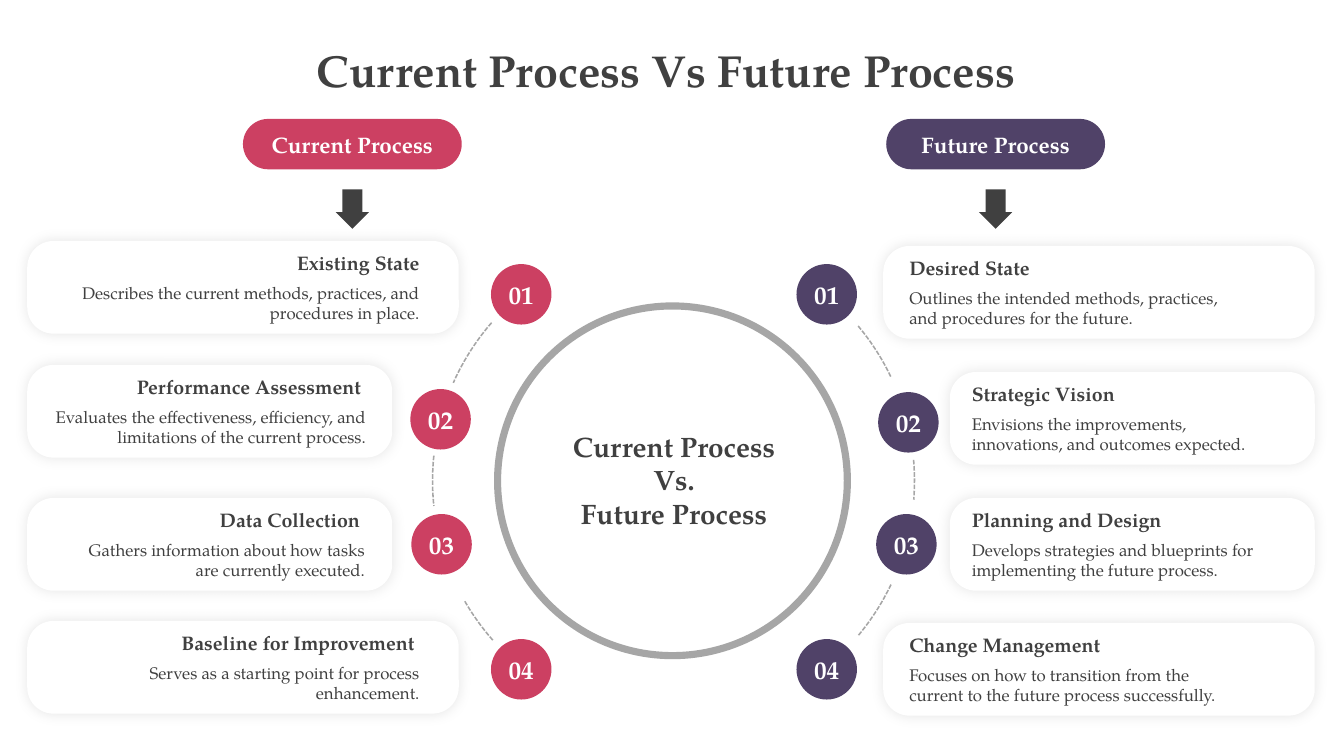
from dataclasses import dataclass
from math import cos, radians, sin

from lxml.etree import SubElement
from pptx import Presentation
from pptx.dml.color import RGBColor as RGB
from pptx.enum.dml import MSO_LINE_DASH_STYLE as Dash
from pptx.enum.shapes import MSO_SHAPE as Kind
from pptx.enum.text import MSO_ANCHOR as Anchor, MSO_AUTO_SIZE as Fit, PP_ALIGN as Align
from pptx.oxml.ns import qn
from pptx.util import Inches, Pt


@dataclass(frozen=True)
class Theme:
    """Colours, font and type sizes of the slide."""
    font: str = "TeX Gyre Pagella"
    ink: str = "404040"
    grey: str = "A6A6A6"
    white: str = "FFFFFF"
    red: str = "CC4062"
    plum: str = "504268"
    title: int = 32
    hub: int = 20
    dot: int = 18
    pill: int = 16
    head: int = 14
    body: int = 12


class Board:
    """Draws each kind of element on one slide."""

    def __init__(self, slide, theme):
        self.shapes = slide.shapes
        self.theme = theme

    def shape(self, kind, x, y, w, h, fill, adjust=()):
        item = self.shapes.add_shape(kind, Inches(x), Inches(y), Inches(w), Inches(h))
        item.shadow.inherit = False
        item.fill.solid()
        item.fill.fore_color.rgb = RGB.from_string(fill)
        item.line.fill.background()
        for i, value in enumerate(adjust):
            item.adjustments[i] = value
        return item

    def label(self, frame, lines, color, align):
        frame.word_wrap = True
        frame.text = "\n".join(text for text, size, bold in lines)
        for par, (text, size, bold) in zip(frame.paragraphs, lines):
            par.alignment = align
            for run in par.runs:
                run.font.name = self.theme.font
                run.font.size = Pt(size)
                run.font.bold = bold
                run.font.color.rgb = RGB.from_string(color)

    def text(self, x, y, w, h, lines, align=Align.CENTER):
        box = self.shapes.add_textbox(Inches(x), Inches(y), Inches(w), Inches(h))
        self.label(box.text_frame, lines, self.theme.ink, align)
        box.text_frame.auto_size = Fit.SHAPE_TO_FIT_TEXT
        return box.text_frame

    def badge(self, kind, x, y, w, h, fill, name, size, adjust=()):
        frame = self.shape(kind, x, y, w, h, fill, adjust).text_frame
        self.label(frame, [(name, size, True)], self.theme.white, Align.CENTER)
        frame.vertical_anchor = Anchor.MIDDLE
        frame.margin_left = frame.margin_right = 0
        frame.margin_top = frame.margin_bottom = 0

    def card(self, x, y, w):
        item = self.shape(Kind.ROUNDED_RECTANGLE, x, y, w, 0.92, self.theme.white, [0.283])
        glow = SubElement(item.element.spPr.find(qn("a:effectLst")), qn("a:outerShdw"),
                          blurRad=str(Pt(10)), dist="0", algn="ctr", rotWithShape="0")
        tint = SubElement(glow, qn("a:srgbClr"), val="000000")
        SubElement(tint, qn("a:alpha"), val="10000")

    def note(self, x, y, w, head, body, align):
        theme = self.theme
        lines = [(head, theme.head, True), (body, theme.body, False)]
        frame = self.text(x, y, w, 0.82, lines, align)
        frame.paragraphs[0].space_after = Pt(6)

    def arc(self, start, end):
        steps = 12
        turns = [radians(start + (end - start) * i / steps) for i in range(steps + 1)]
        points = [(Inches(6.68 + 2.39 * cos(t)), Inches(4.77 + 2.39 * sin(t))) for t in turns]
        trace = self.shapes.build_freeform(*points[0])
        trace.add_line_segments(points[1:], close=False)
        curve = trace.convert_to_shape()
        curve.shadow.inherit = False
        curve.fill.background()
        curve.line.color.rgb = RGB.from_string(self.theme.grey)
        curve.line.width = Pt(1.11)
        curve.line.dash_style = Dash.SQUARE_DOT

    def side(self, name, color, left, align, dots, arcs, cards):
        theme = self.theme
        self.badge(Kind.ROUNDED_RECTANGLE, left, 1.18, 2.17, 0.5, color, name, theme.pill, [0.5])
        self.shape(Kind.DOWN_ARROW, left + 0.92, 1.88, 0.33, 0.39, theme.ink, [0.6, 0.5])
        for start, end in arcs:
            self.arc(start, end)
        for i, (x, y) in enumerate(dots, 1):
            self.badge(Kind.OVAL, x, y, 0.6, 0.6, color, f"{i:02}", theme.dot)
        for x, y, w, inset, span, head, body in cards:
            self.card(x, y, w)
            self.note(x + inset, y + 0.05, span, head, body, align)


CURRENT = [
    (0.27, 2.39, 4.28, 0.35, 3.64, "Existing State",
     "Describes the current methods, practices, and procedures in place."),
    (0.27, 3.62, 3.62, 0.18, 3.28, "Performance Assessment ",
     "Evaluates the effectiveness, efficiency, and limitations of the current process."),
    (0.27, 4.94, 3.62, 0.25, 3.2, "Data Collection ",
     "Gathers information about how tasks are currently executed."),
    (0.27, 6.16, 4.28, 0.35, 3.64, "Baseline for Improvement ",
     "Serves as a starting point for process enhancement."),
]
FUTURE = [
    (8.76, 2.44, 4.28, 0.16, 3.48, "Desired State",
     "Outlines the intended methods, practices, and procedures for the future."),
    (9.42, 3.69, 3.62, 0.12, 3.21, "Strategic Vision",
     "Envisions the improvements, innovations, and outcomes expected."),
    (9.42, 4.94, 3.62, 0.12, 3.21, "Planning and Design",
     "Develops strategies and blueprints for implementing the future process."),
    (8.76, 6.18, 4.28, 0.16, 3.48, "Change Management",
     "Focuses on how to transition from the current to the future process successfully."),
]


def main():
    """Build the slide and save it."""
    deck = Presentation()
    deck.slide_width, deck.slide_height = Inches(13.33), Inches(7.5)
    theme = Theme()
    board = Board(deck.slides.add_slide(deck.slide_layouts[6]), theme)
    board.text(0, 0.37, 13.33, 0.64, [("Current Process Vs Future Process ", theme.title, True)])
    board.shape(Kind.DONUT, 4.9, 3, 3.54, 3.54, theme.grey, [0.02])
    board.side("Current Process", theme.red, 2.41, Align.RIGHT,
               [(4.87, 2.62), (4.07, 3.86), (4.08, 5.1), (4.87, 6.34)],
               [(221, 204), (186, 174), (150, 138.5)], CURRENT)
    board.side("Future Process", theme.plum, 8.79, Align.LEFT,
               [(7.9, 2.62), (8.71, 3.89), (8.69, 5.1), (7.9, 6.34)],
               [(-40, -25.5), (-5, 4.5), (25.5, 40)], FUTURE)
    board.text(5.39, 4.21, 2.59, 1.11, [("Current Process Vs.", theme.hub, True),
                                        ("Future Process", theme.hub, True)])
    deck.save("out.pptx")


if __name__ == "__main__":
    main()
